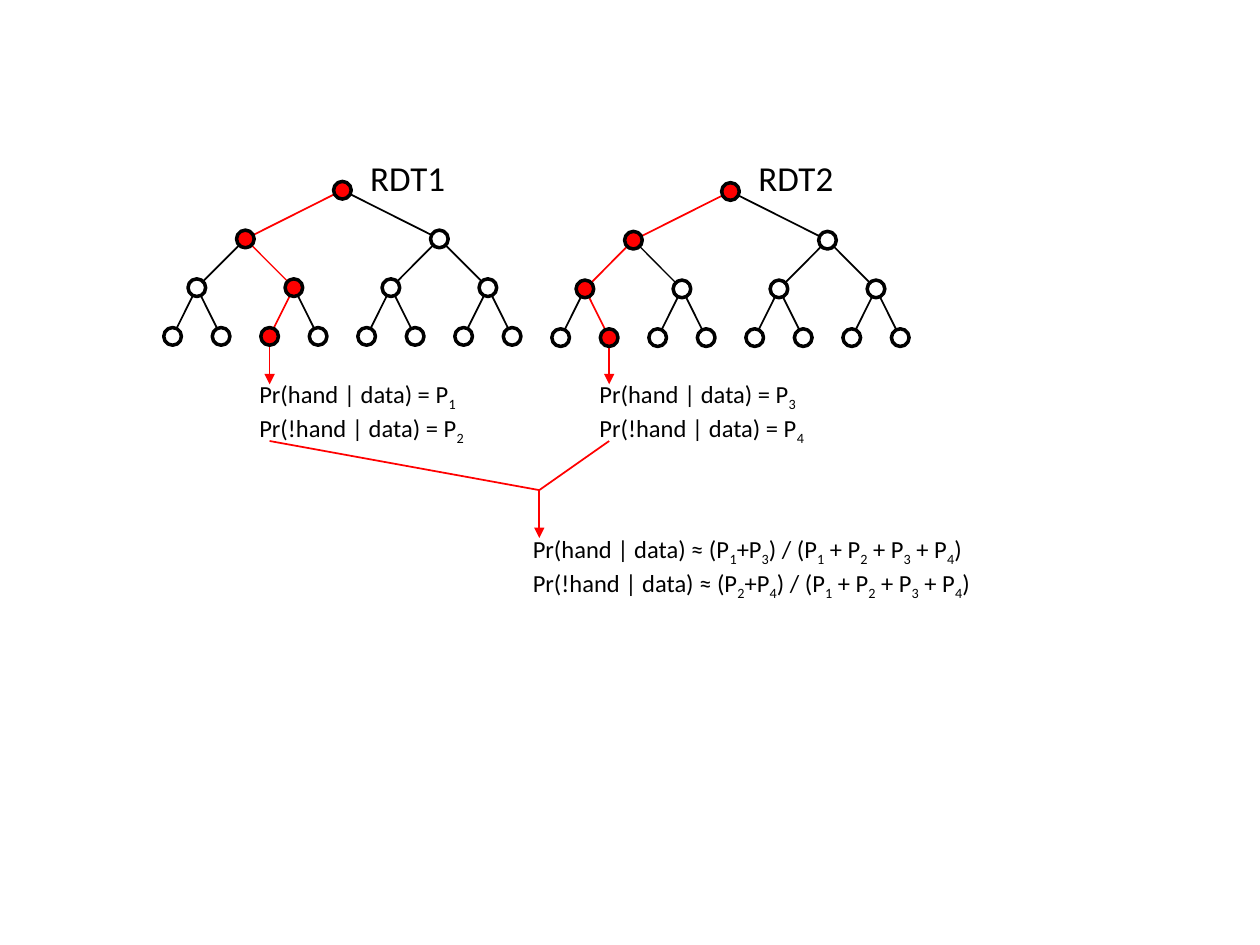
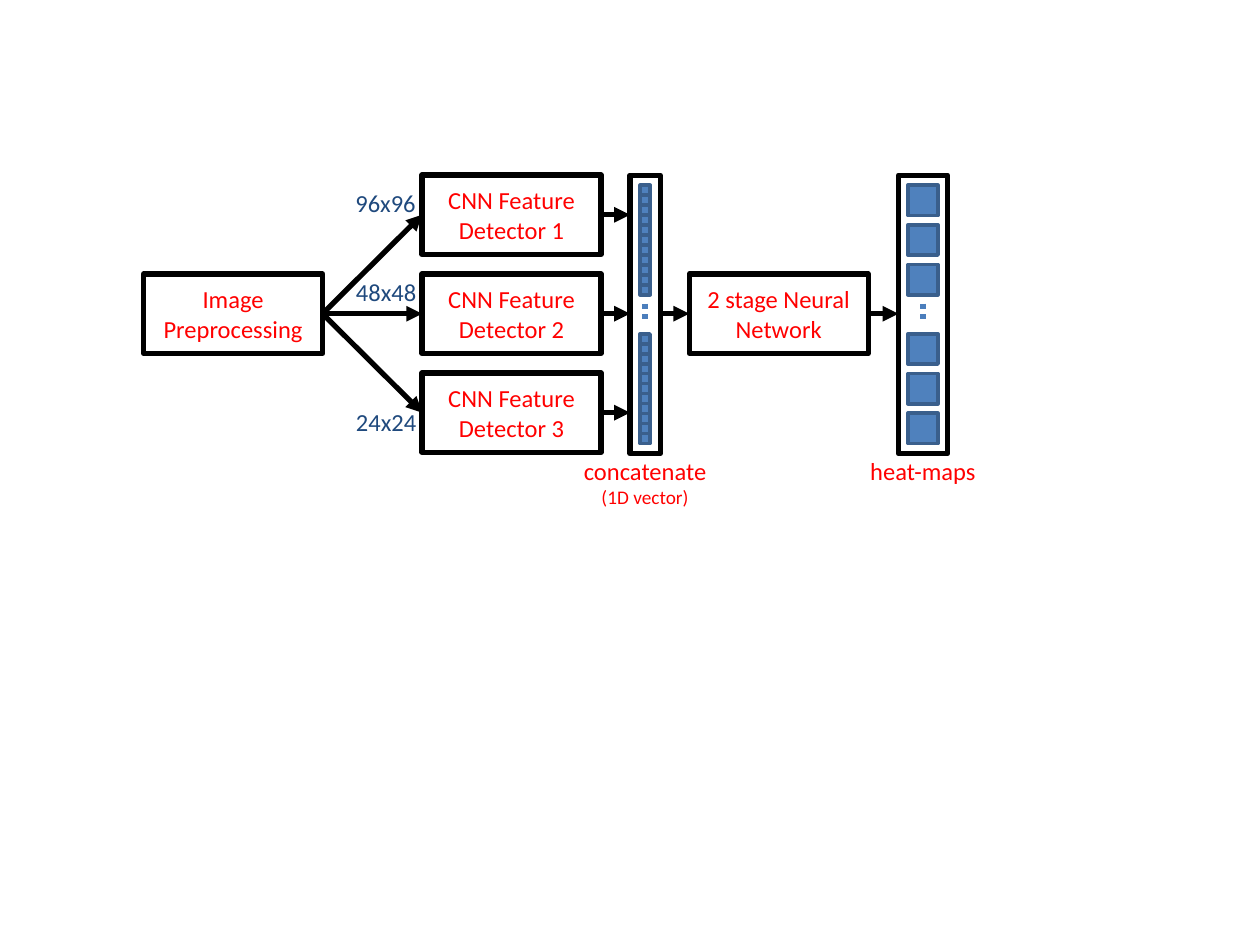
from lxml import etree
from pptx import Presentation
from pptx.dml.color import RGBColor
from pptx.enum.dml import MSO_LINE
from pptx.enum.shapes import MSO_CONNECTOR, MSO_SHAPE
from pptx.enum.text import MSO_ANCHOR, MSO_AUTO_SIZE, PP_ALIGN
from pptx.oxml.ns import qn
from pptx.util import Inches, Pt

STRAIGHT = MSO_CONNECTOR.STRAIGHT
ELLIPSE, RECTANGLE, ROUNDED = MSO_SHAPE.OVAL, MSO_SHAPE.RECTANGLE, MSO_SHAPE.ROUNDED_RECTANGLE
LEFT, CENTER = PP_ALIGN.LEFT, PP_ALIGN.CENTER
MIDDLE = MSO_ANCHOR.MIDDLE
FIT_TEXT = MSO_AUTO_SIZE.SHAPE_TO_FIT_TEXT
DOTTED = MSO_LINE.ROUND_DOT

FONT = "Calibri"
BLACK, WHITE, RED = "000000", "FFFFFF", "FF0000"
NAVY, CELL_FILL, CELL_LINE, DOT_BLUE = "1F497D", "4F81BD", "3A5F8C", "4B7EBC"

# Slide 1: trees and probabilities; "_" puts the next digit in subscript.
# The path holds the index of the chosen node on each level, from the root.
TREES = [
    {"name": "RDT1", "left": 1.37, "top": 1.51, "path": (0, 0, 1, 2), "name_left": 2.84,
     "text_left": 1.96, "lines": ["Pr(hand | data) = P_1", "Pr(!hand | data) = P_2"]},
    {"name": "RDT2", "left": 4.45, "top": 1.52, "path": (0, 0, 0, 1), "name_left": 5.92,
     "text_left": 4.66, "lines": ["Pr(hand | data) = P_3", "Pr(!hand | data) = P_4"]},
]
COMBINED = ["Pr(hand | data) ≈ (P_1+P_3) / (P_1 + P_2 + P_3 + P_4)",
            "Pr(!hand | data) ≈ (P_2+P_4) / (P_1 + P_2 + P_3 + P_4)"]
LEAF_GAP = 0.77 / 2
LEVEL_GAP = 1.16 / 3
NODE_SIZE = 0.14
THIN_EDGE = (2, 1)
JOIN = (4.28, 3.89)

# Slide 2: network stages
DETECTORS = [
    ("CNN Feature Detector 1", "96x96", (2.7, 1.44, 0.72, 0.34)),
    ("CNN Feature Detector 2", "48x48", (2.71, 2.15, 0.71, 0.34)),
    ("CNN Feature Detector 3", "24x24", (2.72, 3.18, 0.69, 0.34)),
]
INPUT_LEFT, DETECTOR_LEFT, NETWORK_LEFT = 1.14, 3.35, 5.47
STAGE_WIDTH, STAGE_HEIGHT = 1.42, 0.63
STAGE_TOPS = [1.39 + row * 1.57 / 2 for row in range(3)]
MIDDLE_Y = STAGE_TOPS[1] + STAGE_HEIGHT / 2
STACK_TOPS, STACK_HEIGHT = (1.47, 2.65), 0.87
VECTOR = {"left": 5, "width": 0.24, "cell": 0.08, "count": 11}
HEAT_MAPS = {"left": 7.13, "width": 0.39, "cell": 0.24, "count": 3}


def rgb(value):
    return RGBColor.from_string(value)


def write(shape, lines, size=14, color=BLACK, align=LEFT):
    """Fill a shape with lines; a line is text or a (text, size) pair."""
    frame = shape.text_frame
    for number, line in enumerate(lines):
        text, line_size = line if isinstance(line, tuple) else (line, size)
        paragraph = frame.paragraphs[0] if number == 0 else frame.add_paragraph()
        paragraph.alignment = align
        first, *others = text.split("_")
        pieces = [(first, False)]
        for other in others:
            pieces += [(other[0], True), (other[1:], False)]
        for piece, subscript in pieces:
            if not piece:
                continue
            run = paragraph.add_run()
            run.text = piece
            run.font.name = FONT
            run.font.size = Pt(line_size)
            run.font.color.rgb = rgb(color)
            if subscript:
                run._r.get_or_add_rPr().set("baseline", "-25000")


def add_text(slide, box, lines, wrap=True, **text_format):
    shape = slide.shapes.add_textbox(*map(Inches, box))
    shape.text_frame.word_wrap = wrap
    shape.text_frame.auto_size = FIT_TEXT
    write(shape, lines, **text_format)


def add_outlined(slide, kind, box, fill=None, line=BLACK, width=2):
    shape = slide.shapes.add_shape(kind, *map(Inches, box))
    shape.shadow.inherit = False
    if fill:
        shape.fill.solid()
        shape.fill.fore_color.rgb = rgb(fill)
    else:
        shape.fill.background()
    shape.line.color.rgb = rgb(line)
    shape.line.width = Pt(width)
    return shape


def add_line(slide, start, end, color=BLACK, width=1, arrow=False, dash=None):
    connector = slide.shapes.add_connector(STRAIGHT, *map(Inches, (*start, *end)))
    connector.line.color.rgb = rgb(color)
    connector.line.width = Pt(width)
    if dash:
        connector.line.dash_style = dash
    if arrow:
        etree.SubElement(connector.line._get_or_add_ln(), qn("a:tailEnd"), type="triangle")
    etree.SubElement(connector._element.spPr, qn("a:effectLst"))


def add_frame(slide, box):
    frame = add_outlined(slide, ROUNDED, box, width=3)
    frame.adjustments[0] = 0
    return frame


def add_stage(slide, left, top, text):
    stage = add_frame(slide, (left, top, STAGE_WIDTH, STAGE_HEIGHT))
    stage.text_frame.word_wrap = True
    stage.text_frame.vertical_anchor = MIDDLE
    write(stage, [text], color=RED, align=CENTER)


def add_flow(slide, start, end):
    add_line(slide, start, end, width=3, arrow=True)


def tree_levels(left, top):
    """Node centres per level, root first; a parent stands midway over its children."""
    row = [left + LEAF_GAP * leaf for leaf in range(8)]
    rows = [row]
    while len(row) > 1:
        row = [(a + b) / 2 for a, b in zip(row[::2], row[1::2])]
        rows.insert(0, row)
    return [[(x, top + LEVEL_GAP * level) for x in xs] for level, xs in enumerate(rows)]


def add_tree(slide, tree):
    levels, path = tree_levels(tree["left"], tree["top"]), tree["path"]
    for level in range(1, len(levels)):
        for index, node in enumerate(levels[level]):
            add_line(slide, node, levels[level - 1][index // 2],
                     color=RED if path[level] == index else BLACK,
                     width=0.75 if (level, index) == THIN_EDGE else 1)
    leaf_x = levels[-1][path[-1]][0]
    add_line(slide, (leaf_x, 2.67), (leaf_x, 3.05), color=RED, arrow=True)
    for level, nodes in enumerate(levels):
        for index, (x, y) in enumerate(nodes):
            add_outlined(slide, ELLIPSE,
                         (x - NODE_SIZE / 2, y - NODE_SIZE / 2, NODE_SIZE, NODE_SIZE),
                         fill=RED if path[level] == index else WHITE)
    add_text(slide, (tree["name_left"], 1.19, 2.87, 0.44), [tree["name"]], size=20)
    add_text(slide, (tree["text_left"], 2.96, 2.87, 0.57), tree["lines"])
    add_line(slide, (leaf_x, 3.5), JOIN, color=RED)


def add_stack(slide, stack):
    """A tall frame with two runs of square cells and dots between them."""
    left, width, cell, count = (stack[key] for key in ("left", "width", "cell", "count"))
    center = left + width / 2
    add_frame(slide, (left, STAGE_TOPS[0], width, 2.21))
    pitch = (STACK_HEIGHT - cell) / (count - 1)
    for top in STACK_TOPS:
        for number in range(count):
            add_outlined(slide, RECTANGLE, (center - cell / 2, top + pitch * number, cell, cell),
                         fill=CELL_FILL, line=CELL_LINE)
    add_line(slide, (center, 2.41), (center, 2.57), color=DOT_BLUE, width=3, dash=DOTTED)


def build_trees(slide):
    for tree in TREES:
        add_tree(slide, tree)
    add_line(slide, JOIN, (JOIN[0], 4.27), color=RED, arrow=True)
    add_text(slide, (4.13, 4.19, 4.02, 0.57), COMBINED)


def build_network(slide):
    add_stage(slide, INPUT_LEFT, STAGE_TOPS[1], "Image Preprocessing")
    add_stage(slide, NETWORK_LEFT, STAGE_TOPS[1], "2 stage Neural Network")
    add_stack(slide, VECTOR)
    add_stack(slide, HEAT_MAPS)
    for top, (name, scale, scale_box) in zip(STAGE_TOPS, DETECTORS):
        y = top + STAGE_HEIGHT / 2
        add_stage(slide, DETECTOR_LEFT, top, name)
        add_flow(slide, (INPUT_LEFT + STAGE_WIDTH, MIDDLE_Y), (DETECTOR_LEFT, y))
        add_flow(slide, (DETECTOR_LEFT + STAGE_WIDTH, y), (VECTOR["left"], y))
        add_text(slide, scale_box, [scale], wrap=False, color=NAVY, align=CENTER)
    add_flow(slide, (VECTOR["left"] + VECTOR["width"], MIDDLE_Y), (NETWORK_LEFT, MIDDLE_Y))
    add_flow(slide, (NETWORK_LEFT + STAGE_WIDTH, MIDDLE_Y), (HEAT_MAPS["left"], MIDDLE_Y))
    add_text(slide, (4.53, 3.57, 1.18, 0.52), ["concatenate", ("(1D vector)", 11)],
             wrap=False, color=RED, align=CENTER)
    add_text(slide, (6.8, 3.57, 1.05, 0.34), ["heat-maps"], wrap=False, color=RED, align=CENTER)


def main():
    presentation = Presentation()
    presentation.slide_width, presentation.slide_height = Inches(10), Inches(7.5)
    for build in (build_trees, build_network):
        build(presentation.slides.add_slide(presentation.slide_layouts[6]))
    presentation.save("out.pptx")


if __name__ == "__main__":
    main()
